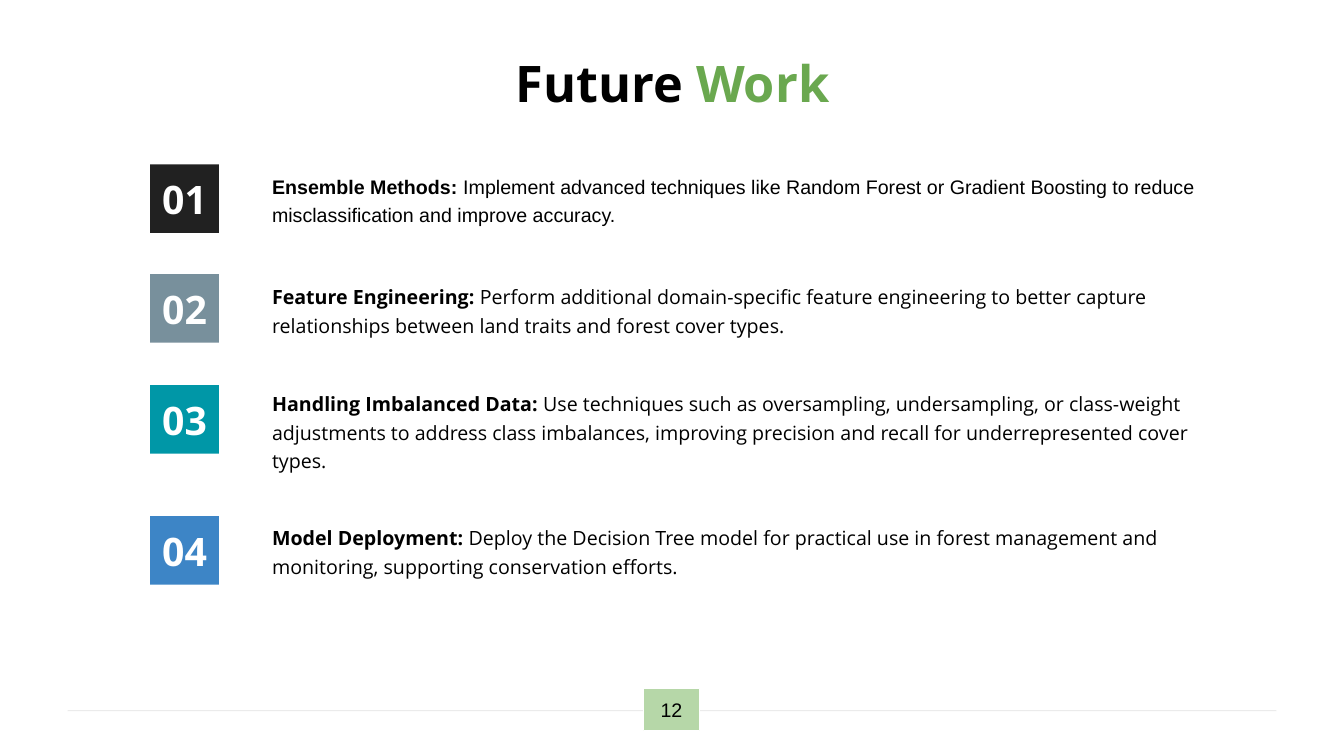
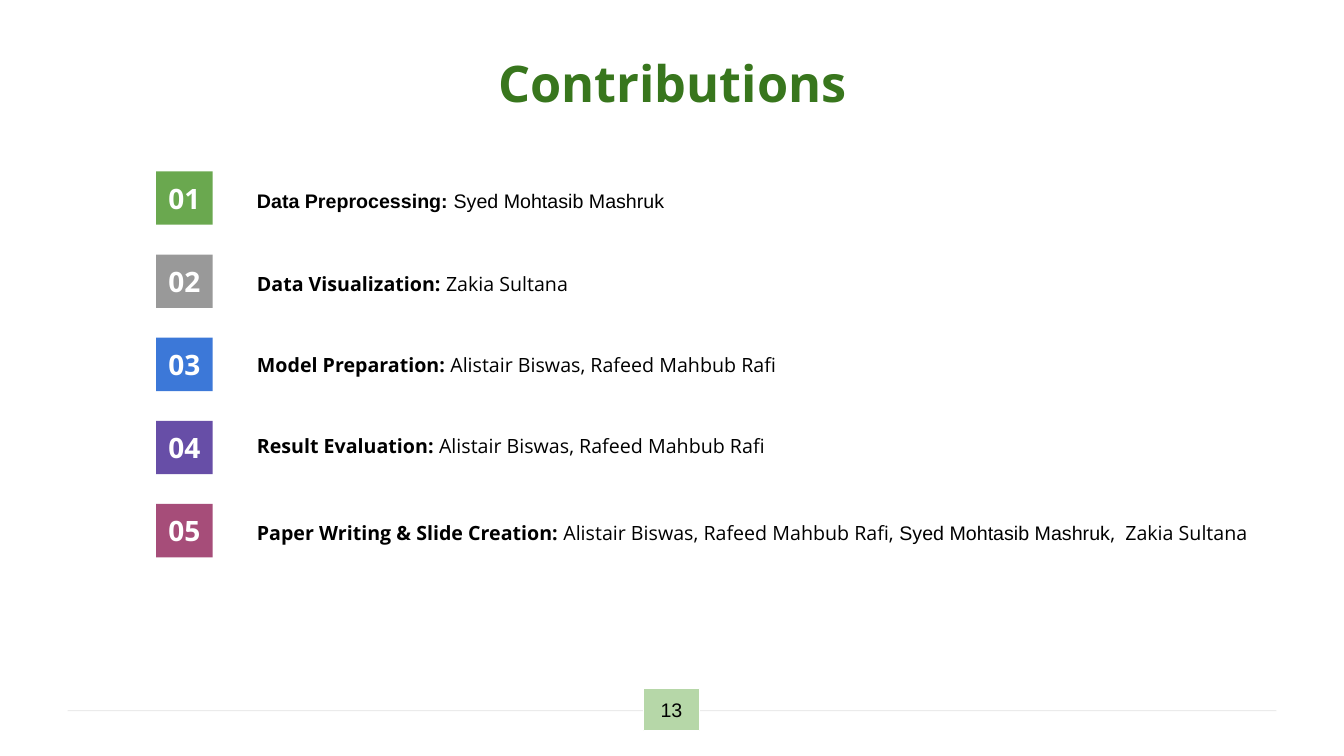
from lxml import etree
from pptx import Presentation
from pptx.dml.color import RGBColor
from pptx.enum import shapes, text
from pptx.oxml.ns import qn
from pptx.util import Inches, Pt

SANS = "Open Sans"
ARIAL = "Arial"
BLACK = "000000"
WHITE = "FFFFFF"
GREEN = "6AA84F"
FOREST = "38761D"
MINT = "B6D7A8"
RULE = "D8D8D8"


def color(code):
    return RGBColor.from_string(code)


class Deck:
    def __init__(self):
        self.prs = Presentation()
        self.prs.slide_width = Inches(13.33)
        self.prs.slide_height = Inches(7.5)
        self.slide = None

    def page(self, number, title):
        self.slide = self.prs.slides.add_slide(self.prs.slide_layouts[5])
        self.rule()
        self.title(title)
        self.badge((6.38, 6.83, 0.56, 0.42), MINT, number, 14, ARIAL, BLACK, False, WHITE, 0.1)

    def run(self, para, words, size, font, code, bold):
        run = para.add_run()
        run.text = words
        run.font.size = Pt(size)
        run.font.name = font
        run.font.bold = bold
        run.font.color.rgb = color(code)

    def frame(self, shape, side, edge):
        frame = shape.text_frame
        frame.word_wrap = True
        frame.auto_size = text.MSO_AUTO_SIZE.NONE
        frame.vertical_anchor = text.MSO_ANCHOR.MIDDLE
        frame.margin_left = frame.margin_right = Inches(side)
        frame.margin_top = frame.margin_bottom = Inches(edge)
        return frame.paragraphs[0]

    def rule(self):
        line = self.slide.shapes.add_connector(
            shapes.MSO_CONNECTOR.STRAIGHT, Inches(0.67), Inches(7.05), Inches(12.66), Inches(7.05))
        line.line.width = Pt(0.75)
        line.line.color.rgb = color(RULE)
        tint = line._element.xpath(".//a:srgbClr")[0]
        etree.SubElement(tint, qn("a:alpha")).set("val", "49000")
        etree.SubElement(line._element.spPr, qn("a:effectLst"))

    def title(self, parts):
        title = self.slide.shapes.title
        title.left, title.top = Inches(0.67), Inches(0.43)
        title.width, title.height = Inches(12), Inches(0.78)
        para = self.frame(title, 0.13, 0.07)
        para.alignment = text.PP_ALIGN.CENTER
        for words, code in parts:
            self.run(para, words, 36, SANS, code, True)

    def badge(self, area, fill, words, size, font=SANS, code=WHITE, bold=True, line=None, edge=0.05):
        box = self.slide.shapes.add_shape(shapes.MSO_SHAPE.RECTANGLE, *map(Inches, area))
        box.shadow.inherit = False
        box.fill.solid()
        box.fill.fore_color.rgb = color(fill)
        if line:
            box.line.color.rgb = color(line)
            box.line.width = Pt(0.75)
        else:
            box.line.fill.background()
        para = self.frame(box, 0.1, edge)
        para.alignment = text.PP_ALIGN.CENTER
        self.run(para, words, size, font, code, bold)

    def note(self, area, parts):
        box = self.slide.shapes.add_textbox(*map(Inches, area))
        para = self.frame(box, 0.1, 0.05)
        para.line_spacing = 1.2
        for index, (words, font) in enumerate(parts):
            self.run(para, words, 14, font, BLACK, index == 0)

    def save(self):
        self.prs.save("out.pptx")


def future(deck):
    deck.page("12", [("Future ", BLACK), ("Work", GREEN)])
    rows = [
        (1.63, 1.5, "212121", ARIAL, "Ensemble Methods: ",
         "Implement advanced techniques like Random Forest or Gradient Boosting "
         "to reduce misclassification and improve accuracy."),
        (2.72, 2.6, "78909C", SANS, "Feature Engineering: ",
         "Perform additional domain-specific feature engineering to better capture "
         "relationships between land traits and forest cover types."),
        (3.82, 3.8, "0097A7", SANS, "Handling Imbalanced Data: ",
         "Use techniques such as oversampling, undersampling, or class-weight adjustments to address "
         "class imbalances, improving precision and recall for underrepresented cover types."),
        (5.12, 4.99, "3D85C6", SANS, "Model Deployment: ",
         "Deploy the Decision Tree model for practical use in forest management "
         "and monitoring, supporting conservation efforts."),
    ]
    for index, (top, start, fill, font, head, body) in enumerate(rows, 1):
        deck.badge((1.49, top, 0.68, 0.68), fill, f"{index:02}", 28)
        deck.note((2.6, start, 9.36, 0.93), [(head, font), (body, font)])


def credits(deck):
    deck.page("13", [("Contributions", FOREST)])
    pair = "Alistair Biswas, Rafeed Mahbub Rafi"
    syed = "Syed Mohtasib Mashruk"
    rows = [
        (1.73, 0.47, GREEN, [("Data Preprocessing: ", ARIAL), (syed, ARIAL)]),
        (2.58, 0.42, "999999", [("Data Visualization: ", SANS), ("Zakia Sultana", SANS)]),
        (3.38, 0.42, "3C78D8", [("Model Preparation: ", SANS), (pair, SANS)]),
        (4.19, 0.42, "674EA7", [("Result Evaluation: ", SANS), (pair, SANS)]),
        (5.09, 0.35, "A64D79", [("Paper Writing & Slide Creation: ", SANS), (pair + ", ", SANS),
                                (syed, ARIAL), (",  Zakia Sultana", SANS)]),
    ]
    first, last = 1.7, 5
    step = (last - first) / (len(rows) - 1)
    for index, (start, height, fill, parts) in enumerate(rows):
        deck.badge((1.55, first + index * step, 0.56, 0.53), fill, f"{index + 1:02}", 20)
        deck.note((2.45, start, 10.13, height), parts)


def main():
    deck = Deck()
    future(deck)
    credits(deck)
    deck.save()


if __name__ == "__main__":
    main()
